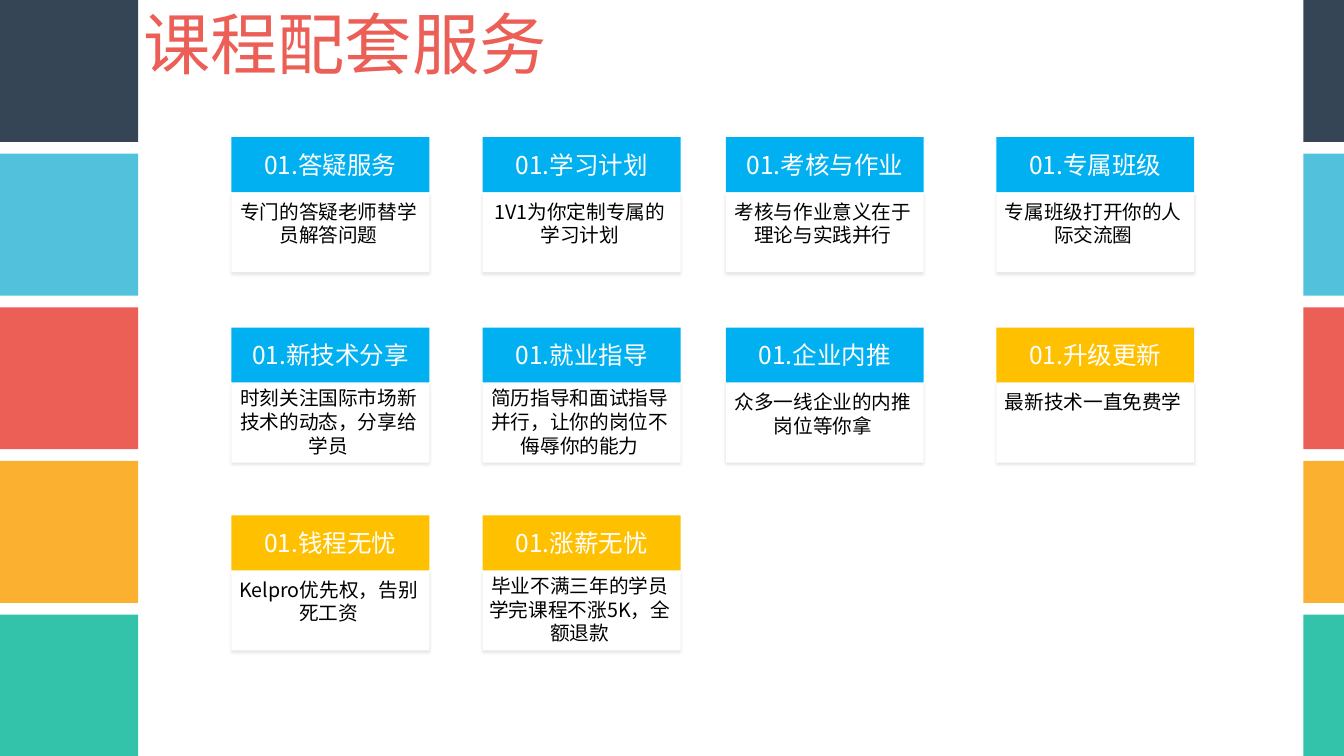
import math

import pptx
import pptx.dml.color
import pptx.enum.shapes
import pptx.enum.text
import pptx.oxml
import pptx.oxml.ns
import pptx.util

RGBColor = pptx.dml.color.RGBColor
NAVY = RGBColor(0x36, 0x45, 0x55)
SKY = RGBColor(0x52, 0xC2, 0xDC)
CORAL = RGBColor(0xEB, 0x5F, 0x56)
AMBER = RGBColor(0xFC, 0xB0, 0x30)
TEAL = RGBColor(0x33, 0xC3, 0xAB)
BLUE = RGBColor(0x00, 0xB0, 0xF0)
GOLD = RGBColor(0xFF, 0xC0, 0x00)
WHITE = RGBColor(0xFF, 0xFF, 0xFF)
BLACK = RGBColor(0x00, 0x00, 0x00)

FONT = "Noto Sans CJK SC"
EMU_PER_PX = 9144  # 100 px to the inch
SLIDE_WIDTH, SLIDE_HEIGHT = 2520, 1417

STRIPES = [NAVY, SKY, CORAL, AMBER, TEAL]
STRIPE_PITCH, STRIPE_HEIGHT = 288, 266
STRIPE_COLUMNS = [(0, 259), (2444, 76)]

COLUMN_LEFTS = [434, 905, 1361, 1868]
ROW_TOPS = [257, 614, 966]
CARD_WIDTH, HEADER_HEIGHT, PANEL_HEIGHT = 371, 103, 150
BODY_WIDTH, BODY_LINE, CHARS_PER_LINE = 364, 45, 9

SERVICE_ROWS = [
    [
        ("01.答疑服务", "专门的答疑老师替学员解答问题", BLUE),
        ("01.学习计划", "1V1为你定制专属的学习计划", BLUE),
        ("01.考核与作业", "考核与作业意义在于理论与实践并行", BLUE),
        ("01.专属班级", "专属班级打开你的人际交流圈", BLUE),
    ],
    [
        ("01.新技术分享", "时刻关注国际市场新技术的动态，分享给学员", BLUE),
        ("01.就业指导", "简历指导和面试指导并行，让你的岗位不侮辱你的能力", BLUE),
        ("01.企业内推", "众多一线企业的内推岗位等你拿", BLUE),
        ("01.升级更新", "最新技术一直免费学", GOLD),
    ],
    [
        ("01.钱程无忧", "Kelpro优先权，告别死工资", GOLD),
        ("01.涨薪无忧", "毕业不满三年的学员学完课程不涨5K，全额退款", GOLD),
    ],
]


def px(length):
    return pptx.util.Emu(length * EMU_PER_PX)


def add_block(slide, left, top, width, height, color):
    block = slide.shapes.add_shape(
        pptx.enum.shapes.MSO_SHAPE.RECTANGLE, px(left), px(top), px(width), px(height))
    block.fill.solid()
    block.fill.fore_color.rgb = color
    block.line.fill.background()
    block.shadow.inherit = False
    return block


def add_soft_shadow(block):
    effects = block._element.spPr.find(pptx.oxml.ns.qn("a:effectLst"))
    effects.append(pptx.oxml.parse_xml(
        f'<a:outerShdw {pptx.oxml.ns.nsdecls("a")} blurRad="50800" dist="38100" '
        'dir="5400000" algn="t" rotWithShape="0"><a:srgbClr val="000000">'
        '<a:alpha val="9000"/></a:srgbClr></a:outerShdw>'))


def write(frame, words, size, color, align, line_spacing=None):
    paragraph = frame.paragraphs[0]
    paragraph.alignment = align
    if line_spacing:
        paragraph.line_spacing = pptx.util.Pt(line_spacing)
    run = paragraph.add_run()
    run.text = words
    run.font.size = pptx.util.Pt(size)
    run.font.color.rgb = color
    run.font.name = FONT
    run._r.get_or_add_rPr().append(pptx.oxml.parse_xml(
        f'<a:ea {pptx.oxml.ns.nsdecls("a")} typeface="{FONT}"/>'))


def add_label(slide, left, top, width, height, wrap):
    frame = slide.shapes.add_textbox(px(left), px(top), px(width), px(height)).text_frame
    frame.word_wrap = wrap
    return frame


def add_service(slide, left, top, heading, description, color):
    """Draw a coloured heading over a shadowed panel with its description."""
    center = pptx.enum.text.PP_ALIGN.CENTER
    panel_top = top + HEADER_HEIGHT
    panel = add_block(slide, left, panel_top, CARD_WIDTH, PANEL_HEIGHT, WHITE)
    add_soft_shadow(panel)

    header = add_block(slide, left, top, CARD_WIDTH, HEADER_HEIGHT, color).text_frame
    header.margin_left = header.margin_right = px(19)
    header.margin_top = header.margin_bottom = px(9)
    header.vertical_anchor = pptx.enum.text.MSO_ANCHOR.MIDDLE
    header.word_wrap = True
    write(header, heading, 33.1, WHITE, center)

    lines = math.ceil(len(description) / CHARS_PER_LINE)
    gap = 2 if lines > 2 else 9
    body = add_label(slide, left, panel_top + gap, BODY_WIDTH, 10 + lines * BODY_LINE, True)
    write(body, description, 26.5, BLACK, center, 31.8)


def main():
    deck = pptx.Presentation()
    deck.slide_width, deck.slide_height = px(SLIDE_WIDTH), px(SLIDE_HEIGHT)
    slide = deck.slides.add_slide(deck.slide_layouts[6])

    for left, width in STRIPE_COLUMNS:
        for index, color in enumerate(STRIPES):
            add_block(slide, left, index * STRIPE_PITCH, width, STRIPE_HEIGHT, color)

    title = add_label(slide, 259, 0, 784, 163, False)
    write(title, "课程配套服务", 90.7, CORAL, pptx.enum.text.PP_ALIGN.LEFT, 109)

    for top, services in zip(ROW_TOPS, SERVICE_ROWS):
        for left, (heading, description, color) in zip(COLUMN_LEFTS, services):
            add_service(slide, left, top, heading, description, color)

    deck.save("out.pptx")


if __name__ == "__main__":
    main()
